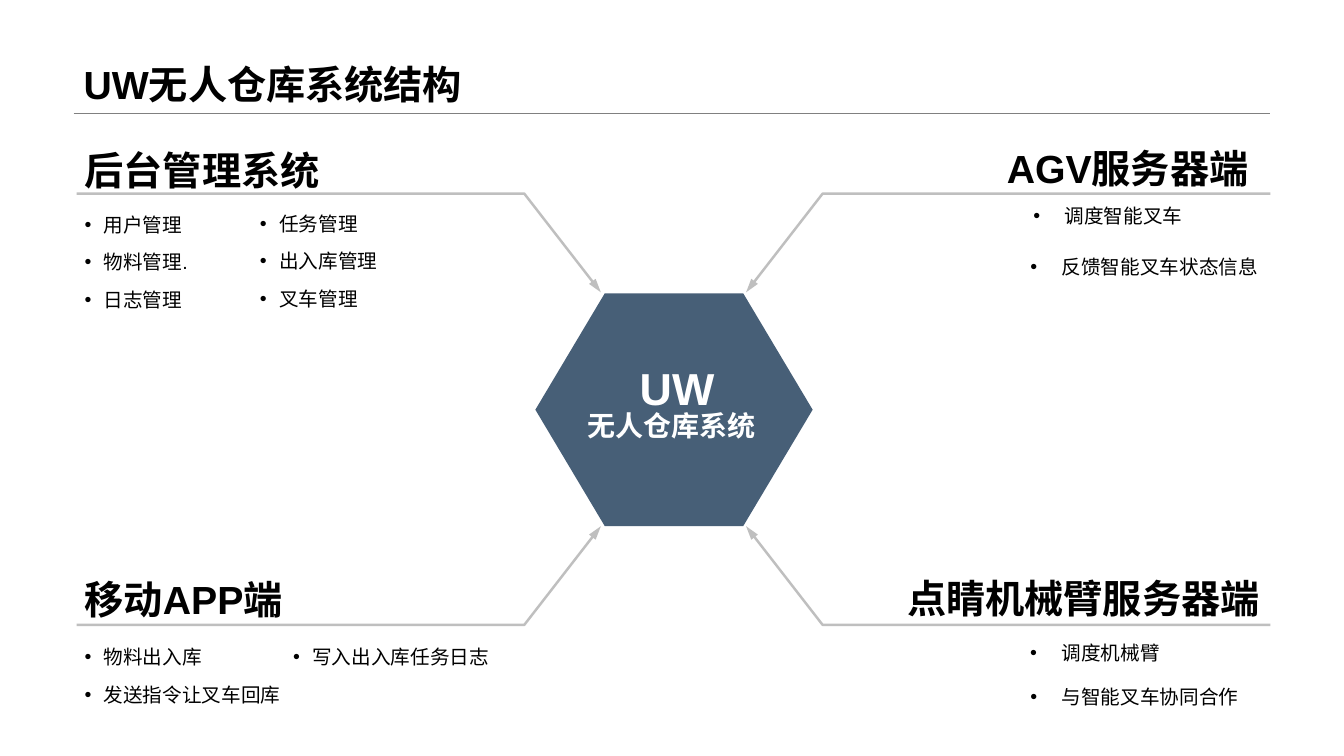
from lxml.etree import SubElement
from pptx import Presentation
from pptx.dml.color import RGBColor
from pptx.enum.shapes import MSO_CONNECTOR, MSO_SHAPE
from pptx.enum.text import MSO_ANCHOR as Anchor, MSO_AUTO_SIZE as AutoSize, PP_ALIGN as Align
from pptx.oxml.ns import qn
from pptx.util import Inches, Pt

TITLE = "UW无人仓库系统结构"
BLACK, WHITE, NAVY, SILVER, GRAY = "000000", "FFFFFF", "475F77", "BFBFBF", "808080"

HEADINGS = [
    ("后台管理系统", 0.74, 1.4, 0.45, Align.LEFT),
    ("AGV服务器端", 8.43, 1.38, 0.53, Align.RIGHT),
    ("移动APP端", 0.74, 5.66, 0.45, Align.LEFT),
    ("点睛机械臂服务器端", 8.54, 5.65, 0.53, Align.RIGHT),
]
LEFT_LISTS = [
    (["用户管理", "物料管理.", "日志管理"], 0.74, 1.92, 1.91, 1.21),
    (["任务管理", "出入库管理", "叉车管理"], 2.48, 1.91, 1.91, 1.22),
    (["物料出入库", "发送指令让叉车回库"], 0.74, 6.21, 2.29, 0.86),
    (["写入出入库任务日志"], 2.81, 6.21, 3.23, 0.43),
]
RIGHT_ITEMS = [
    ("调度智能叉车", 10.15, 1.97, 1.7),
    ("反馈智能叉车状态信息", 10.12, 2.48, 2.48),
    ("调度机械臂", 10.12, 6.31, 1.5),
    ("与智能叉车协同合作", 10.12, 6.75, 2.28),
]
CENTER_LABELS = [
    ("UW", 6.15, 3.53, 1.13, 0.45, 32, Anchor.TOP),
    ("无人仓库系统", 5.56, 3.99, 2.2, 0.46, 20, Anchor.MIDDLE),
]
ARROW_X = [(5.96, 5.2, 0.76), (7.4, 8.16, 12.6)]
ARROW_Y = [(2.9, 1.92), (5.22, 6.2)]


def color(value):
    return RGBColor.from_string(value)


def style(para, size, value, bold=False, align=Align.LEFT):
    para.alignment = align
    para.font.name = "Arial"
    para.font.size = Pt(size)
    para.font.bold = bold
    para.font.color.rgb = color(value)


def add_bullet(para, indent):
    props = para._p.get_or_add_pPr()
    props.set("marL", str(Inches(indent)))
    props.set("indent", str(-Inches(indent)))
    SubElement(props, qn("a:buFont"), typeface="Arial")
    SubElement(props, qn("a:buChar"), char="•")


def add_text(page, lines, left, top, width, height, size, value=BLACK, bold=False,
             align=Align.LEFT, anchor=Anchor.TOP, wrap=False, indent=None, spacing=None):
    box = page.shapes.add_textbox(Inches(left), Inches(top), Inches(width), Inches(height))
    frame = box.text_frame
    frame.word_wrap = wrap
    frame.vertical_anchor = anchor
    frame.text = "\n".join(lines)
    for para in frame.paragraphs:
        style(para, size, value, bold, align)
        if spacing:
            para.line_spacing = spacing
        if indent:
            add_bullet(para, indent)
    return box


def add_arrow(page, points):
    start, *rest = [(Inches(x), Inches(y)) for x, y in points]
    builder = page.shapes.build_freeform(*start)
    builder.add_line_segments(rest, close=False)
    arrow = builder.convert_to_shape()
    arrow.shadow.inherit = False
    arrow.fill.background()
    arrow.line.color.rgb = color(SILVER)
    arrow.line.width = Pt(1.75)
    SubElement(arrow.line._get_or_add_ln(), qn("a:headEnd"), type="triangle", len="lg")


def add_title(page):
    title = page.shapes.title
    title.left, title.top = Inches(0.73), Inches(0)
    title.width, title.height = Inches(11.87), Inches(1.12)
    frame = title.text_frame
    frame.text = TITLE
    frame.auto_size = AutoSize.NONE
    frame.vertical_anchor = Anchor.BOTTOM
    style(frame.paragraphs[0], 28, BLACK, True)
    frame.paragraphs[0].line_spacing = 0.9
    rule = page.shapes.add_connector(
        MSO_CONNECTOR.STRAIGHT, Inches(0.73), Inches(1.12), Inches(12.6), Inches(1.12))
    rule.line.color.rgb = color(GRAY)
    rule.line.width = Pt(0.25)
    SubElement(rule._element.spPr, qn("a:effectLst"))


def add_hexagon(page):
    hexagon = page.shapes.add_shape(
        MSO_SHAPE.HEXAGON, Inches(5.31), Inches(2.91), Inches(2.75), Inches(2.31))
    hexagon.adjustments[0] = 0.298
    hexagon.shadow.inherit = False
    hexagon.fill.solid()
    hexagon.fill.fore_color.rgb = color(NAVY)
    hexagon.line.fill.background()


def main():
    deck = Presentation()
    deck.slide_width, deck.slide_height = Inches(13.33), Inches(7.5)
    page = deck.slides.add_slide(deck.slide_layouts[5])
    add_title(page)
    add_hexagon(page)
    for xs in ARROW_X:
        for tip, level in ARROW_Y:
            add_arrow(page, list(zip(xs, (tip, level, level))))
    for text, left, top, width, height, size, anchor in CENTER_LABELS:
        add_text(page, [text], left, top, width, height, size, WHITE, True, Align.CENTER, anchor)
    for text, left, top, height, align in HEADINGS:
        add_text(page, [text], left, top, 4.05, height, 28, bold=True, align=align)
    for lines, left, top, width, height in LEFT_LISTS:
        add_text(page, lines, left, top, width, height, 14, wrap=True, indent=0.19, spacing=1.6)
    for text, left, top, width in RIGHT_ITEMS:
        box = add_text(page, [text], left, top, width, 0.34, 14, indent=0.31)
        box.text_frame.auto_size = AutoSize.SHAPE_TO_FIT_TEXT
    deck.save("out.pptx")


if __name__ == "__main__":
    main()
